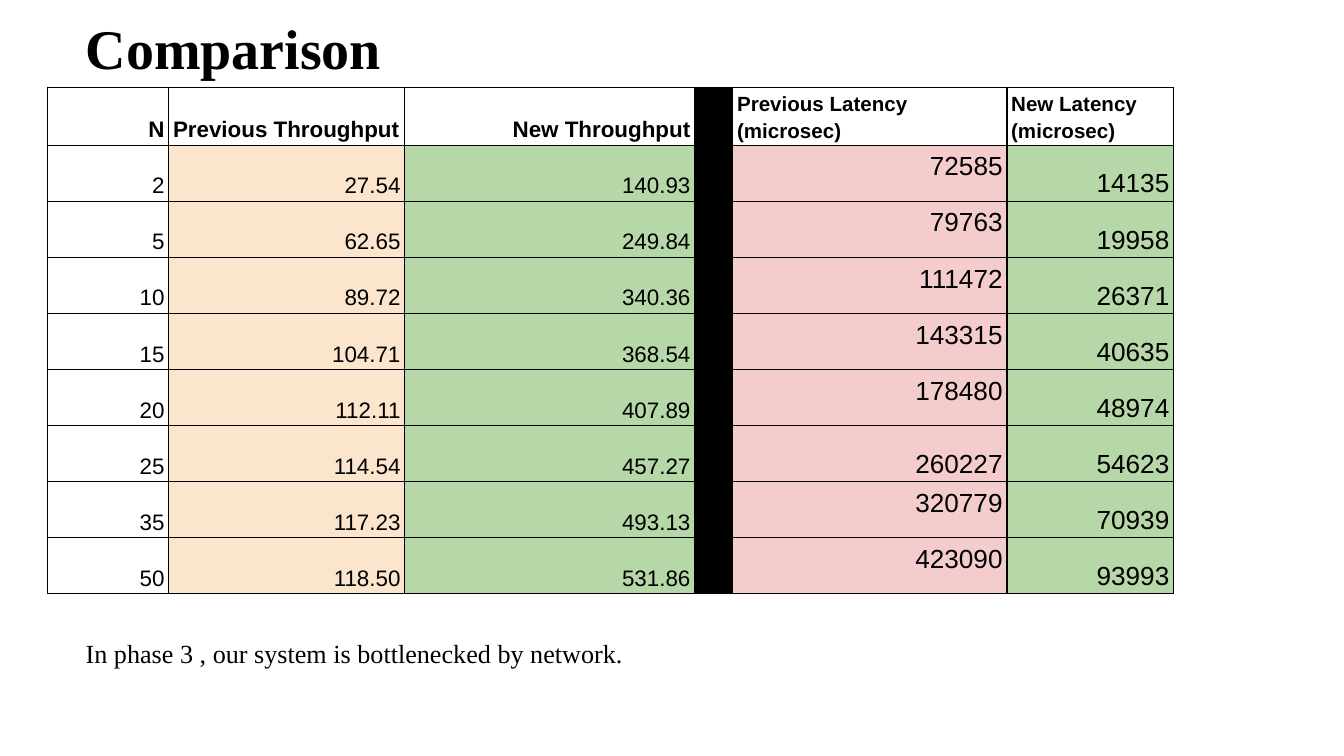
"""Build a slide comparing throughput and latency before and after a change."""
from lxml.etree import SubElement
from pptx import Presentation
from pptx.dml.color import RGBColor
from pptx.enum.text import MSO_ANCHOR, PP_ALIGN
from pptx.oxml.ns import qn
from pptx.util import Cm, Pt


def color(hex_string):
    return RGBColor.from_string(hex_string)


def write_text(frame, text, size, font="Arial", bold=False, align=PP_ALIGN.LEFT,
               spacing=None, insets=(0.25, 0.25)):
    frame.word_wrap = True
    frame.margin_left = frame.margin_right = Cm(insets[0])
    frame.margin_top = frame.margin_bottom = Cm(insets[1])
    paragraph = frame.paragraphs[0]
    paragraph.alignment = align
    paragraph.line_spacing = spacing
    run = paragraph.add_run()
    run.text = text
    run.font.name = font
    run.font.size = Pt(size)
    run.font.bold = bold
    run.font.color.rgb = color("000000")


presentation = Presentation()
presentation.slide_width = Cm(25.4)
presentation.slide_height = Cm(14.29)
slide = presentation.slides.add_slide(presentation.slide_layouts[6])

headers = ["N", "Previous Throughput", "New Throughput", "",
           "Previous Latency (microsec)", "New Latency (microsec)"]
measurements = [
    ["2", "27.54", "140.93", "", "72585", "14135"],
    ["5", "62.65", "249.84", "", "79763", "19958"],
    ["10", "89.72", "340.36", "", "111472", "26371"],
    ["15", "104.71", "368.54", "", "143315", "40635"],
    ["20", "112.11", "407.89", "", "178480", "48974"],
    ["25", "114.54", "457.27", "", "260227", "54623"],
    ["35", "117.23", "493.13", "", "320779", "70939"],
    ["50", "118.50", "531.86", "", "423090", "93993"],
]
rows = [headers] + measurements
column_widths = [2.29, 4.46, 5.48, 0.72, 5.18, 3.15]
column_fills = [None, "FCE5CD", "B6D7A8", "000000", "F4CCCC", "B6D7A8"]
header_sizes = [12, 12, 12, 12, 11, 11]
value_sizes = [12, 12, 12, 12, 14, 14]
left_headers = ["Previous Throughput", "Previous Latency (microsec)", "New Latency (microsec)"]
separator_column = 3
previous_latency_column = 4
bottom_aligned_latency = "260227"
row_height = 1.06

table = slide.shapes.add_table(
    len(rows), len(headers), Cm(0.9), Cm(1.65),
    Cm(sum(column_widths)), Cm(row_height * len(rows))).table
table.first_row = False
table.horz_banding = False
for column, width in zip(table.columns, column_widths):
    column.width = Cm(width)

for row_index, values in enumerate(rows):
    table.rows[row_index].height = Cm(row_height)
    is_header = row_index == 0
    for column_index, value in enumerate(values):
        cell = table.cell(row_index, column_index)
        properties = cell._tc.get_or_add_tcPr()
        for side in ("lnL", "lnR", "lnT", "lnB"):
            border = SubElement(properties, qn(f"a:{side}"), w=str(Pt(0.75)))
            border_fill = SubElement(border, qn("a:solidFill"))
            SubElement(border_fill, qn("a:srgbClr"), val="000000")

        fill = column_fills[column_index]
        if fill is None or (is_header and column_index != separator_column):
            cell.fill.background()
        else:
            cell.fill.solid()
            cell.fill.fore_color.rgb = color(fill)

        if column_index == separator_column:
            continue
        cell.margin_left = cell.margin_right = Cm(0.08)
        cell.margin_top = cell.margin_bottom = Cm(0.05)
        top_aligned = (column_index == previous_latency_column and not is_header
                       and value != bottom_aligned_latency)
        cell.vertical_anchor = MSO_ANCHOR.TOP if top_aligned else MSO_ANCHOR.BOTTOM
        sizes = header_sizes if is_header else value_sizes
        write_text(cell.text_frame, value, sizes[column_index], bold=is_header,
                   align=PP_ALIGN.LEFT if value in left_headers else PP_ALIGN.RIGHT,
                   spacing=1.15, insets=(0.08, 0.05))

for text, top, width, size, bold in [
    ("Comparison", 0, 20.8, 30, True),
    ("In phase 3 , our system is bottlenecked by network.", 11.79, 16.81, 14, False),
]:
    text_box = slide.shapes.add_textbox(Cm(1.37), Cm(top), Cm(width), Cm(1.96))
    write_text(text_box.text_frame, text, size, font="Times New Roman", bold=bold)

presentation.save("out.pptx")
